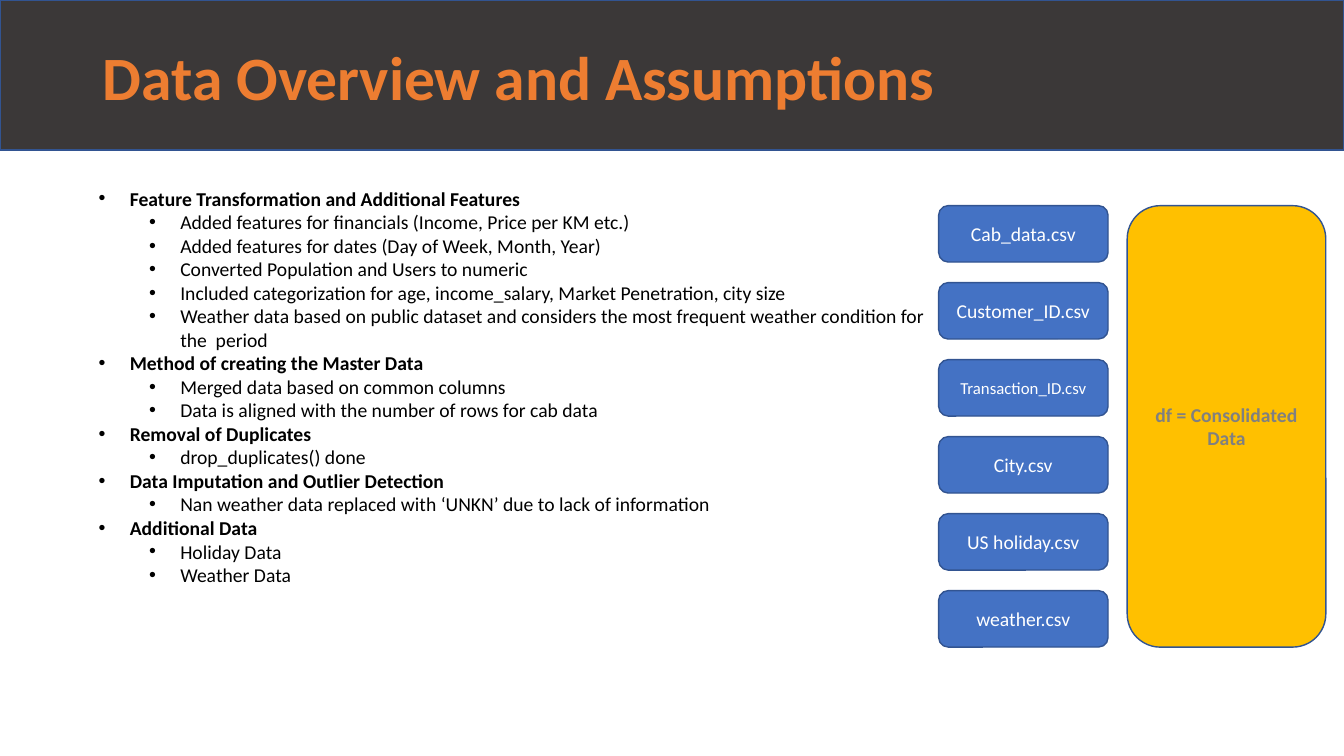
"""Build the data overview slide with its outline and source files."""
from pptx import Presentation
from pptx.dml.color import RGBColor
from pptx.enum.shapes import MSO_SHAPE as Shape
from pptx.enum.text import MSO_ANCHOR as Anchor, PP_ALIGN as Align
from pptx.oxml.ns import qn
from pptx.util import Inches, Pt
from lxml.etree import SubElement

TITLE = "Data Overview and Assumptions"
OUTLINE = [
    ("Feature Transformation and Additional Features", [
        "Added features for financials (Income, Price per KM etc.)",
        "Added features for dates (Day of Week, Month, Year)",
        "Converted Population and Users to numeric",
        "Included categorization for age, income_salary, Market Penetration, city size",
        "Weather data based on public dataset and considers the most frequent "
        "weather condition for the  period",
    ]),
    ("Method of creating the Master Data", [
        "Merged data based on common columns",
        "Data is aligned with the number of rows for cab data",
    ]),
    ("Removal of Duplicates", ["drop_duplicates() done"]),
    ("Data Imputation and Outlier Detection", [
        "Nan weather data replaced with ‘UNKN’ due to lack of information",
    ]),
    ("Additional Data", ["Holiday Data", "Weather Data"]),
]
FILES = [("Cab_data.csv", 14), ("Customer_ID.csv", 14), ("Transaction_ID.csv", 12),
         ("City.csv", 14), ("US holiday.csv", 14), ("weather.csv", 14)]
RESULT = "df = Consolidated Data"

FONT = "Calibri"
CHARCOAL = RGBColor(0x3B, 0x38, 0x38)
ORANGE = RGBColor(0xED, 0x7D, 0x31)
BLUE = RGBColor(0x44, 0x72, 0xC4)
NAVY = RGBColor(0x32, 0x54, 0x91)
GOLD = RGBColor(0xFF, 0xC0, 0x00)
GREY = RGBColor(0x80, 0x80, 0x80)
BLACK = RGBColor(0, 0, 0)
WHITE = RGBColor(0xFF, 0xFF, 0xFF)

WIDTH, HEIGHT = 13.33, 7.5
BAR_H = 1.49
FILE_X, FILE_W, FILE_H = 9.31, 1.68, 0.56
RESULT_X, RESULT_W = 11.18, 1.97
FLOW_Y, FLOW_H = 2.04, 4.38
PITCH = (FLOW_H - FILE_H) / (len(FILES) - 1)
INDENT, LEVEL_STEP = 0.31, 0.5


def add_run(p, text, size, color, bold=False):
    r = p.add_run()
    r.text = text
    r.font.name, r.font.size, r.font.bold = FONT, Pt(size), bold
    r.font.color.rgb = color


def add_text_box(s, x, y, w, h):
    tf = s.shapes.add_textbox(*map(Inches, (x, y, w, h))).text_frame
    tf.word_wrap = True
    return tf


def add_box(s, kind, x, y, w, h, fill):
    sp = s.shapes.add_shape(kind, *map(Inches, (x, y, w, h)))
    sp.shadow.inherit = False
    sp.fill.solid()
    sp.fill.fore_color.rgb = fill
    sp.line.color.rgb = NAVY
    sp.line.width = Pt(1)
    return sp.text_frame


def add_label(tf, text, size, color, bold=False):
    tf.word_wrap = True
    tf.vertical_anchor = Anchor.MIDDLE
    p = tf.paragraphs[0]
    p.alignment = Align.CENTER
    add_run(p, text, size, color, bold)


def add_bullet(p, text, level):
    p.level = level
    pPr = p._p.get_or_add_pPr()
    pPr.set("marL", str(Inches(INDENT + level * LEVEL_STEP)))
    pPr.set("indent", str(-Inches(INDENT)))
    SubElement(pPr, qn("a:buFont"), typeface="Arial")
    SubElement(pPr, qn("a:buChar"), char="•")
    add_run(p, text, 14, BLACK, bold=level == 0)


def main():
    prs = Presentation()
    prs.slide_width, prs.slide_height = Inches(WIDTH), Inches(HEIGHT)
    s = prs.slides.add_slide(prs.slide_layouts[6])

    tf = add_text_box(s, 0.88, 1.8, 8.44, 4.72)
    lines = [line for head, points in OUTLINE
             for line in [(head, 0)] + [(point, 1) for point in points]]
    for i, (text, level) in enumerate(lines):
        add_bullet(tf.add_paragraph() if i else tf.paragraphs[0], text, level)

    add_box(s, Shape.RECTANGLE, 0, 0, WIDTH, BAR_H, CHARCOAL)
    tf = add_text_box(s, 0.92, 0.07, 11.5, 1.45)
    tf.vertical_anchor = Anchor.MIDDLE
    tf.paragraphs[0].line_spacing = 0.9
    add_run(tf.paragraphs[0], TITLE, 44, ORANGE, bold=True)

    for i, (name, size) in enumerate(FILES):
        tf = add_box(s, Shape.ROUNDED_RECTANGLE, FILE_X, FLOW_Y + i * PITCH,
                     FILE_W, FILE_H, BLUE)
        add_label(tf, name, size, WHITE)
    tf = add_box(s, Shape.ROUNDED_RECTANGLE, RESULT_X, FLOW_Y, RESULT_W, FLOW_H, GOLD)
    add_label(tf, RESULT, 14, GREY, bold=True)

    prs.save("out.pptx")


if __name__ == "__main__":
    main()
